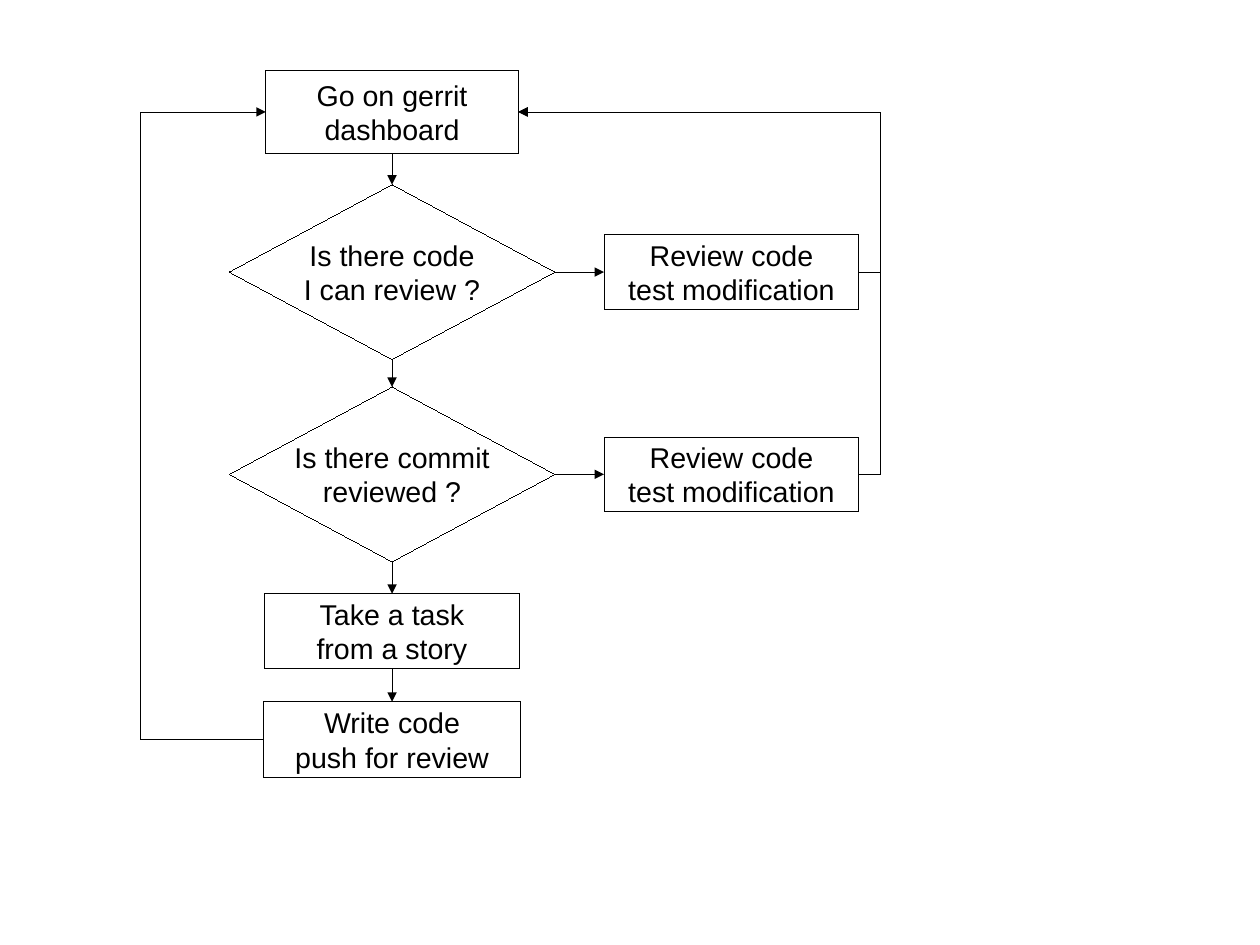
from pptx import Presentation
from pptx import util as u
from pptx.dml.color import RGBColor
from pptx.enum import shapes, text
from pptx.oxml.ns import qn
from lxml import etree

COLORS = {"ink": "000000"}
BOX = shapes.MSO_SHAPE.FLOWCHART_PROCESS
DIAMOND = shapes.MSO_SHAPE.DIAMOND
TOP, LEFT, BOTTOM, RIGHT = range(4)


class Flowchart:
    """Draws the steps and arrows of a flowchart on one slide."""

    def __init__(self, slide):
        self.slide = slide
        self.ink = RGBColor.from_string(COLORS["ink"])
        self.font_name, self.font_size = "Arial", u.Pt(18)
        self.hairline = u.Pt(0.01)

    def outline(self, line):
        line.color.rgb = self.ink
        line.width = self.hairline

    def step(self, wording, center_x, center_y, width, height, kind=BOX):
        step = self.slide.shapes.add_shape(
            kind, u.Inches(center_x - width / 2), u.Inches(center_y - height / 2),
            u.Inches(width), u.Inches(height))
        step.shadow.inherit = False
        step.fill.background()
        self.outline(step.line)
        frame = step.text_frame
        frame.word_wrap = False
        frame.vertical_anchor = text.MSO_ANCHOR.MIDDLE
        frame.text = wording
        for paragraph in frame.paragraphs:
            paragraph.alignment = text.PP_ALIGN.CENTER
            paragraph.font.name = self.font_name
            paragraph.font.size = self.font_size
            paragraph.font.color.rgb = self.ink
        return step

    def arrow(self, source, source_side, target, target_side, via_x=None):
        kind = shapes.MSO_CONNECTOR.STRAIGHT if via_x is None else shapes.MSO_CONNECTOR.ELBOW
        arrow = self.slide.shapes.add_connector(kind, 0, 0, 0, 0)
        arrow.begin_connect(source, source_side)
        arrow.end_connect(target, target_side)
        self.outline(arrow.line)
        properties = arrow._element.spPr
        etree.SubElement(properties.find(qn("a:ln")), qn("a:tailEnd"), type="triangle")
        etree.SubElement(properties, qn("a:effectLst"))
        if via_x is not None:
            bend = (u.Inches(via_x) - arrow.begin_x) / (arrow.end_x - arrow.begin_x)
            guides = properties.find(qn("a:prstGeom")).get_or_add_avLst()
            etree.SubElement(guides, qn("a:gd"), name="adj1", fmla=f"val {round(bend * 100000)}")


def main():
    deck = Presentation()
    deck.slide_width, deck.slide_height = u.Cm(28), u.Cm(21)
    chart = Flowchart(deck.slides.add_slide(deck.slide_layouts[6]))

    main_x, review_x = 3.43, 6.4
    dashboard = chart.step("Go on gerrit\ndashboard", main_x, 0.98, 2.21, 0.73)
    task = chart.step("Take a task\nfrom a story", main_x, 5.52, 2.23, 0.65)
    push = chart.step("Write code\npush for review", main_x, 6.47, 2.25, 0.66)

    questions = []
    for question, center_y in (("Is there code\nI can review ?", 2.38),
                               ("Is there commit\nreviewed ?", 4.15)):
        decision = chart.step(question, main_x, center_y, 2.85, 1.53, DIAMOND)
        review = chart.step("Review code\ntest modification", review_x, center_y, 2.23, 0.65)
        chart.arrow(decision, RIGHT, review, LEFT)
        chart.arrow(review, RIGHT, dashboard, RIGHT, via_x=7.7)
        questions.append(decision)

    flow = [dashboard, *questions, task, push]
    for earlier, later in zip(flow, flow[1:]):
        chart.arrow(earlier, BOTTOM, later, TOP)
    chart.arrow(push, LEFT, dashboard, LEFT, via_x=1.23)

    deck.save("out.pptx")


if __name__ == "__main__":
    main()
